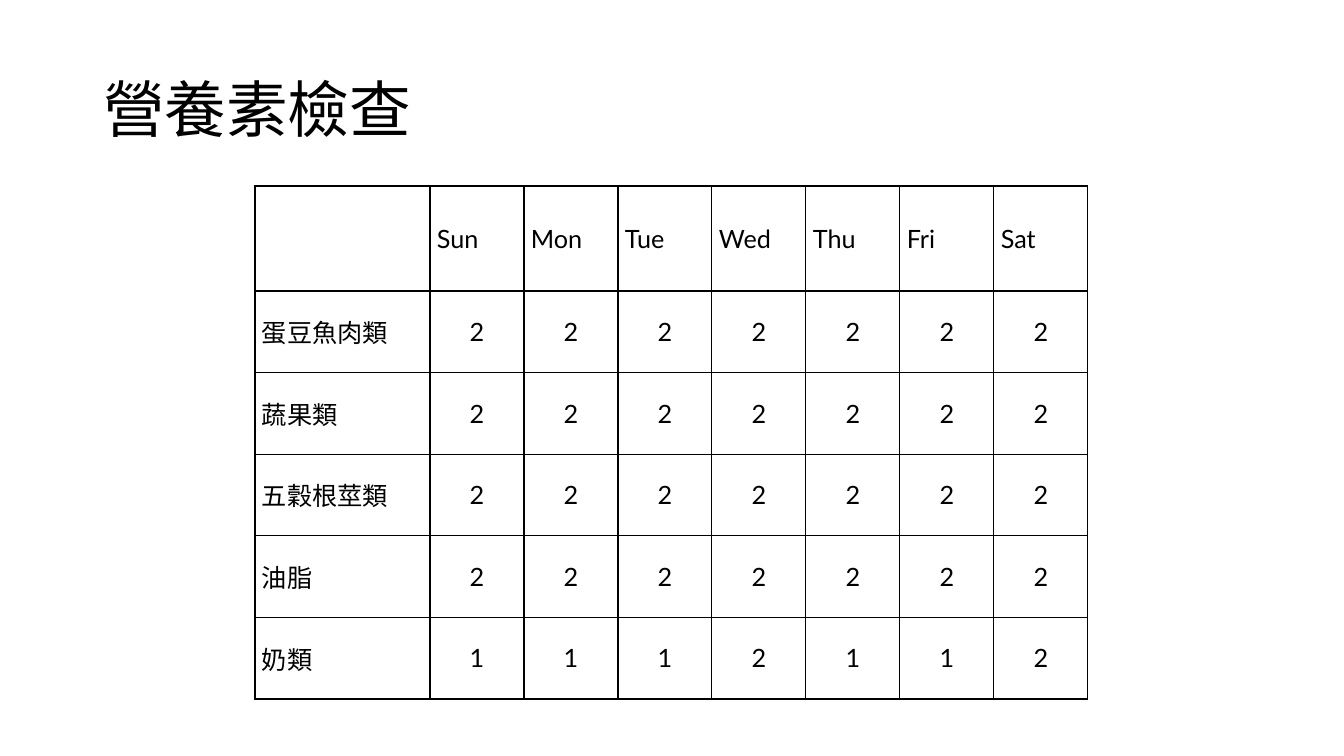
from lxml.etree import SubElement
from pptx import Presentation
from pptx.dml.color import RGBColor
from pptx.enum.text import MSO_ANCHOR, PP_ALIGN
from pptx.oxml.ns import qn
from pptx.util import Pt

# Content
TITLE = "營養素檢查"
DAYS = ["Sun", "Mon", "Tue", "Wed", "Thu", "Fri", "Sat"]
SERVINGS = [
    ("蛋豆魚肉類", [2, 2, 2, 2, 2, 2, 2]),
    ("蔬果類", [2, 2, 2, 2, 2, 2, 2]),
    ("五穀根莖類", [2, 2, 2, 2, 2, 2, 2]),
    ("油脂", [2, 2, 2, 2, 2, 2, 2]),
    ("奶類", [1, 1, 1, 2, 1, 1, 2]),
]

# Format, lengths in px
PX = 914400 / 100.8
BLACK = "000000"
TITLE_BOX = (93, 40, 1159, 146)
TABLE_LEFT, TABLE_TOP, TABLE_HEIGHT = 255, 186, 513
LABEL_WIDTH, DAY_WIDTH, HEADER_HEIGHT = 175, 94, 105
INSET = 7
TITLE_FONT = {"name": "Lato", "size": Pt(44), "bold": False}
CELL_FONT = {"name": "Lato", "size": Pt(18), "bold": False}


def px(n):
    return round(n * PX)


def color(code):
    return RGBColor.from_string(code)


def set_attrs(obj, values):
    for name, value in values.items():
        setattr(obj, name, value)


def write(tf, text, font, align):
    p = tf.paragraphs[0]
    p.alignment = align
    r = p.add_run()
    r.text = text
    set_attrs(r.font, font)
    r.font.color.rgb = color(BLACK)
    return p


def add_borders(cell):
    tcPr = cell._tc.get_or_add_tcPr()
    for i, side in enumerate(("lnL", "lnR", "lnT", "lnB")):
        ln = tcPr.makeelement(qn(f"a:{side}"), {"w": str(Pt(1))})
        fill = SubElement(ln, qn("a:solidFill"))
        SubElement(fill, qn("a:srgbClr"), val=BLACK)
        tcPr.insert(i, ln)


def main():
    prs = Presentation()
    prs.slide_width, prs.slide_height = px(1344), px(756)
    s = prs.slides.add_slide(prs.slide_layouts[5])

    # Title
    title = s.shapes.title
    set_attrs(title, dict(zip(("left", "top", "width", "height"), map(px, TITLE_BOX))))
    title.text_frame.vertical_anchor = MSO_ANCHOR.MIDDLE
    write(title.text_frame, TITLE, TITLE_FONT, PP_ALIGN.LEFT).line_spacing = 0.9

    # Table grid
    rows = [["", *DAYS]] + [[label, *map(str, counts)] for label, counts in SERVINGS]
    widths = [LABEL_WIDTH] + [DAY_WIDTH] * len(DAYS)
    row_height = (TABLE_HEIGHT - HEADER_HEIGHT) / len(SERVINGS)
    heights = [HEADER_HEIGHT] + [row_height] * len(SERVINGS)
    table = s.shapes.add_table(
        len(rows), len(widths), px(TABLE_LEFT), px(TABLE_TOP),
        px(sum(widths)), px(TABLE_HEIGHT)).table
    set_attrs(table, {"first_row": False, "horz_banding": False})
    for column, width in zip(table.columns, widths):
        column.width = px(width)
    for row, height in zip(table.rows, heights):
        row.height = px(height)

    # Table cells
    cell_format = {f"margin_{side}": px(INSET) for side in ("left", "right", "top", "bottom")}
    cell_format["vertical_anchor"] = MSO_ANCHOR.MIDDLE
    for i, row in enumerate(rows):
        for j, text in enumerate(row):
            cell = table.cell(i, j)
            set_attrs(cell, cell_format)
            cell.fill.background()
            add_borders(cell)
            if text:
                align = PP_ALIGN.CENTER if i and j else PP_ALIGN.LEFT
                write(cell.text_frame, text, CELL_FONT, align)

    prs.save("out.pptx")


if __name__ == "__main__":
    main()
